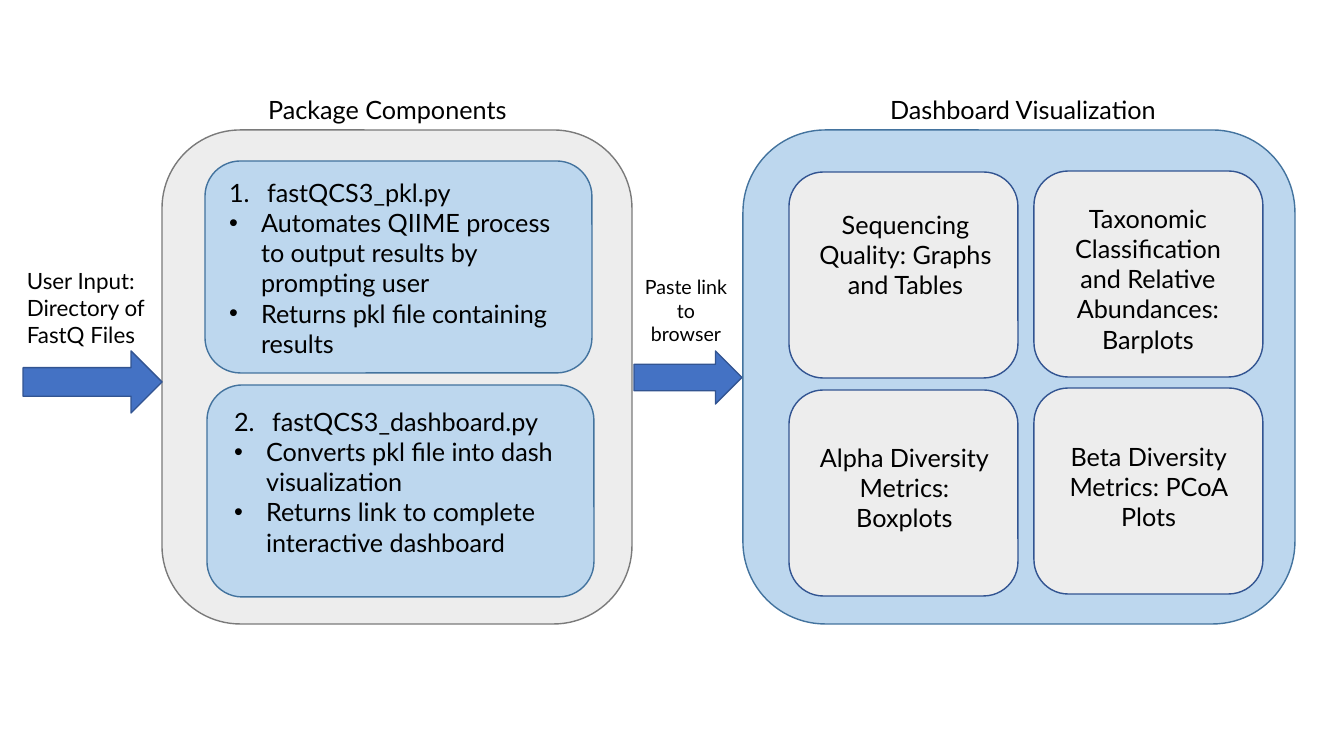
from lxml.etree import SubElement
from pptx import Presentation
from pptx.dml.color import RGBColor
from pptx.enum.shapes import MSO_SHAPE as SHAPE
from pptx.enum.text import MSO_ANCHOR as ANCHOR, MSO_AUTO_SIZE as AUTO_SIZE, PP_ALIGN as ALIGN
from pptx.oxml.ns import qn
from pptx.util import Pt

EMU_PER_PIXEL = 914400 / 100.8
FONT = "Lato"
BLACK = RGBColor(0x00, 0x00, 0x00)
PALE_BLUE = RGBColor(0xBD, 0xD7, 0xEE)
PALE_GREY = RGBColor(0xED, 0xED, 0xED)
ARROW_BLUE = RGBColor(0x44, 0x72, 0xC4)
BLUE_EDGE = RGBColor(0x43, 0x73, 0x9E)
DARK_EDGE = RGBColor(0x32, 0x54, 0x91)
GREY_EDGE = RGBColor(0x7A, 0x7A, 0x7A)


def px(pixels):
    """Turn pixels into EMU."""
    return round(pixels * EMU_PER_PIXEL)


class Diagram:
    """Holds the slide and draws its elements in one style."""

    def __init__(self, slide):
        """Keep the slide to draw on."""
        self.slide = slide

    def shape(self, kind, box, fill, edge, adjustments=()):
        """Draw a filled, outlined preset shape."""
        shape = self.slide.shapes.add_shape(kind, *map(px, box))
        shape.shadow.inherit = False
        shape.fill.solid()
        shape.fill.fore_color.rgb = fill
        shape.line.color.rgb = edge
        shape.line.width = Pt(1)
        for index, value in enumerate(adjustments):
            shape.adjustments[index] = value

    def set_text(self, frame, lines, size=18, align=ALIGN.LEFT, wrap=True):
        """Fill a text frame with evenly formatted paragraphs."""
        frame.text = "\n".join(lines)
        frame_format = {"word_wrap": wrap, "auto_size": AUTO_SIZE.NONE,
                        "vertical_anchor": ANCHOR.TOP}
        for name, value in frame_format.items():
            setattr(frame, name, value)
        paragraph_format = {"alignment": align, "line_spacing": 1.0,
                            "space_before": Pt(0), "space_after": Pt(0)}
        font_format = {"name": FONT, "size": Pt(size), "bold": False}
        for paragraph in frame.paragraphs:
            for name, value in paragraph_format.items():
                setattr(paragraph, name, value)
            for run in paragraph.runs:
                for name, value in font_format.items():
                    setattr(run.font, name, value)
                run.font.color.rgb = BLACK

    def label(self, box, lines, **style):
        """Add a text box."""
        text_box = self.slide.shapes.add_textbox(*map(px, box))
        self.set_text(text_box.text_frame, lines, **style)

    def placeholder(self, idx, box, lines, **style):
        """Move a placeholder to the front and fill it."""
        holder = self.slide.placeholders[idx]
        self.slide.shapes.element.append(holder.element)
        for name, value in zip(("left", "top", "width", "height"), box):
            setattr(holder, name, px(value))
        self.set_text(holder.text_frame, lines, **style)
        return holder.text_frame

    def step_list(self, idx, box, number, lines):
        """Add a numbered file name followed by bullets."""
        frame = self.placeholder(idx, box, lines)
        for position, paragraph in enumerate(frame.paragraphs):
            indent = px(32 if position else 38)
            properties = paragraph._p.get_or_add_pPr()
            properties.set("marL", str(indent))
            properties.set("indent", str(-indent))
            if position:
                SubElement(properties, qn("a:buFont"), typeface="Arial")
                SubElement(properties, qn("a:buChar"), char="•")
            else:
                SubElement(properties, qn("a:buFont"), typeface=FONT)
                SubElement(properties, qn("a:buAutoNum"),
                           type="arabicPeriod", startAt=str(number))


deck = Presentation()
deck.slide_width, deck.slide_height = px(1344), px(756)
slide = deck.slides.add_slide(deck.slide_layouts.get_by_name("Comparison"))
unused_title = slide.shapes.title.element
unused_title.getparent().remove(unused_title)
diagram = Diagram(slide)

# Panels with their headings
diagram.shape(SHAPE.ROUNDED_RECTANGLE, (743, 130, 552, 494), PALE_BLUE, BLUE_EDGE)
diagram.shape(SHAPE.ROUNDED_RECTANGLE, (162, 130, 470, 494), PALE_GREY, GREY_EDGE)
diagram.placeholder(1, (258, 89, 260, 40), ["Package Components"], wrap=False)
diagram.placeholder(3, (880, 89, 287, 40), ["Dashboard Visualization"], wrap=False)

# Arrows with their captions
diagram.shape(SHAPE.RIGHT_ARROW, (23, 351, 139, 62), ARROW_BLUE, DARK_EDGE, (0.46, 0.5))
diagram.shape(SHAPE.RIGHT_ARROW, (634, 351, 108, 53), ARROW_BLUE, DARK_EDGE)
diagram.label((17, 262, 139, 92), ["User Input:", "Directory of FastQ Files"], size=16)
diagram.label((633, 270, 106, 82), ["Paste link to browser"], size=14, align=ALIGN.CENTER)

# Package steps: placeholder, corner of the box, place of the list, lines
steps = [
    (2, (205, 161), (219, 172, 357, 194),
     ["fastQCS3_pkl.py",
      "Automates QIIME process to output results by prompting user",
      "Returns pkl file containing results"]),
    (4, (207, 385), (224, 401, 346, 163),
     ["fastQCS3_dashboard.py",
      "Converts pkl file into dash visualization",
      "Returns link to complete interactive dashboard"]),
]
for number, (idx, corner, list_box, lines) in enumerate(steps, 1):
    diagram.shape(SHAPE.ROUNDED_RECTANGLE, (*corner, 387, 212), PALE_BLUE, BLUE_EDGE)
    diagram.step_list(idx, list_box, number, lines)

# Dashboard cards: corner of the card, place of the text, lines
cards = [
    ((789, 172), (809, 204, 193, 132), ["Sequencing Quality: Graphs and Tables"]),
    ((1034, 171), (1062, 198, 172, 163),
     ["Taxonomic Classification and Relative Abundances: Barplots"]),
    ((789, 390), (805, 437, 199, 102), ["Alpha Diversity", "Metrics: Boxplots"]),
    ((1034, 388), (1052, 436, 193, 102), ["Beta Diversity Metrics: PCoA Plots"]),
]
for corner, text_box, lines in cards:
    diagram.shape(SHAPE.ROUNDED_RECTANGLE, (*corner, 229, 206), PALE_GREY, DARK_EDGE)
    diagram.label(text_box, lines, align=ALIGN.CENTER)

deck.save("out.pptx")
